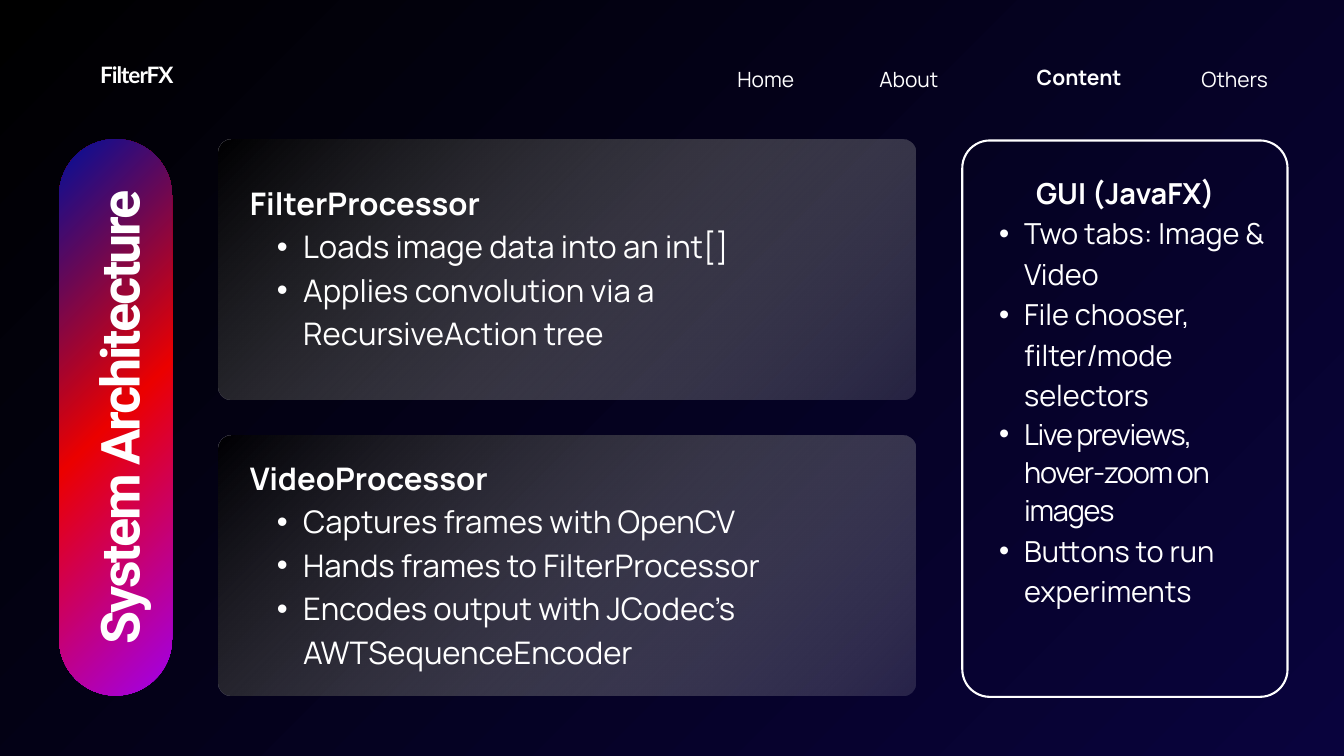
import dataclasses

import lxml.etree
import pptx
import pptx.dml.color
import pptx.enum.shapes
import pptx.enum.text
import pptx.oxml
import pptx.oxml.ns
import pptx.util

Inches = pptx.util.Inches
Pt = pptx.util.Pt
qn = pptx.oxml.ns.qn
ALIGN = pptx.enum.text.PP_ALIGN


@dataclasses.dataclass(frozen=True)
class Theme:
    ink: str = "FFFFFF"
    background: tuple = ((0, "000000", 100), (100, "09033D", 100))
    pill: tuple = ((0, "000F9B", 100), (50, "EB0000", 100), (100, "A000EB", 100))
    panel: tuple = ((0, "000000", 78), (100, "DDDDDD", 15))
    title_font: str = "Roboto"
    brand_font: str = "Lato"
    body_font: str = "Manrope"
    title_size: float = 57.8
    brand_size: float = 24.2
    menu_size: float = 22.5
    panel_size: float = 33.3
    sidebar_size: float = 31
    outline_width: float = 2.25


def write_text(paragraph, text, *, font, size, color, bold=False, align=ALIGN.LEFT,
               line=None, tracking=0):
    paragraph.alignment = align
    paragraph.line_spacing = Pt(line)
    paragraph.space_before = paragraph.space_after = Pt(0)
    run = paragraph.add_run()
    run.text = text
    run.font.name = font
    run.font.size = Pt(size)
    run.font.bold = bold
    run.font.color.rgb = pptx.dml.color.RGBColor.from_string(color)
    run._r.get_or_add_rPr().set("spc", str(round(tracking * 100)))


def set_bullet(paragraph, indent=0, hanging=0, bulleted=False):
    properties = paragraph._p.get_or_add_pPr()
    properties.set("marL", str(Inches(indent)))
    properties.set("indent", str(-Inches(hanging)))
    if bulleted:
        paragraph.level = 1
        lxml.etree.SubElement(properties, qn("a:buFont")).set("typeface", "Arial")
        lxml.etree.SubElement(properties, qn("a:buChar")).set("char", "•")
    else:
        lxml.etree.SubElement(properties, qn("a:buNone"))


def paint_gradient(owner, stops, angle=None):
    stop_xml = "".join(
        f'<a:gs pos="{position * 1000}"><a:srgbClr val="{color}">'
        f'<a:alpha val="{opacity * 1000}"/></a:srgbClr></a:gs>'
        for position, color, opacity in stops
    )
    if angle is None:
        direction = (
            '<a:path path="circle"><a:fillToRect r="100000" b="100000"/></a:path>'
            '<a:tileRect l="-100000" t="-100000"/>'
        )
    else:
        direction = f'<a:lin ang="{angle * 60000}" scaled="0"/>'
    gradient = pptx.oxml.parse_xml(
        f'<a:gradFill {pptx.oxml.ns.nsdecls("a")} rotWithShape="1">'
        f"<a:gsLst>{stop_xml}</a:gsLst>{direction}</a:gradFill>"
    )
    owner.fill.background()
    empty_fill = owner.element.find(".//" + qn("a:noFill"))
    empty_fill.getparent().replace(empty_fill, gradient)


@dataclasses.dataclass
class Background:
    element: object
    fill: object


class SlideBuilder:
    def __init__(self, slide, theme):
        self.slide = slide
        self.theme = theme

    def background(self):
        canvas = Background(self.slide.element, self.slide.background.fill)
        paint_gradient(canvas, self.theme.background)

    def rounded_box(self, left, top, width, height, radius, stops=None, angle=None):
        shape = self.slide.shapes.add_shape(
            pptx.enum.shapes.MSO_SHAPE.ROUNDED_RECTANGLE,
            Inches(left), Inches(top), Inches(width), Inches(height))
        shape.adjustments[0] = radius / min(width, height)
        shape.shadow.inherit = False
        if stops:
            paint_gradient(shape, stops, angle)
            shape.line.fill.background()
        else:
            shape.fill.background()
            shape.line.color.rgb = pptx.dml.color.RGBColor.from_string(self.theme.ink)
            shape.line.width = Pt(self.theme.outline_width)

    def prepare_frame(self, shape):
        frame = shape.text_frame
        frame.word_wrap = True
        frame.auto_size = pptx.enum.text.MSO_AUTO_SIZE.NONE
        frame.vertical_anchor = pptx.enum.text.MSO_ANCHOR.TOP
        frame.margin_left = frame.margin_right = 0
        frame.margin_top = frame.margin_bottom = 0
        return frame

    def place(self, index, left, top, width, height):
        shape = next(item for item in self.slide.placeholders
                     if item.placeholder_format.idx == index)
        shape.left, shape.top = Inches(left), Inches(top)
        shape.width, shape.height = Inches(width), Inches(height)
        shape.element.getparent().append(shape.element)
        return shape

    def title(self, text, left, top, width, height):
        shape = self.place(0, left, top, width, height)
        shape.rotation = 270
        write_text(self.prepare_frame(shape).paragraphs[0], text,
                   font=self.theme.title_font, size=self.theme.title_size,
                   color=self.theme.ink, bold=True, align=ALIGN.CENTER,
                   line=80.8, tracking=-2.5)

    def label(self, text, left, top, width, height, **style):
        shape = self.slide.shapes.add_textbox(
            Inches(left), Inches(top), Inches(width), Inches(height))
        write_text(self.prepare_frame(shape).paragraphs[0], text,
                   color=self.theme.ink, **style)

    def list_block(self, index, box, heading, items, size, line, indent, hanging,
                   heading_align=ALIGN.LEFT, tight_item=None):
        frame = self.prepare_frame(self.place(index, *box))
        style = {"font": self.theme.body_font, "size": size, "color": self.theme.ink}
        paragraph = frame.paragraphs[0]
        write_text(paragraph, heading, bold=True, align=heading_align, line=line, **style)
        set_bullet(paragraph)
        for item in items:
            tight = item == tight_item
            paragraph = frame.add_paragraph()
            write_text(paragraph, item, line=41.2 if tight else line,
                       tracking=-1.3 if tight else 0, **style)
            set_bullet(paragraph, indent, hanging, bulleted=True)

    def remove_empty_placeholders(self):
        for shape in list(self.slide.placeholders):
            if not shape.text_frame.text:
                shape.element.getparent().remove(shape.element)


def main():
    presentation = pptx.Presentation()
    presentation.slide_width = Inches(20)
    presentation.slide_height = Inches(11.25)
    slide = presentation.slides.add_slide(presentation.slide_layouts[4])
    theme = Theme()
    builder = SlideBuilder(slide, theme)

    builder.background()
    for panel_top in (2.07, 6.48):
        builder.rounded_box(3.25, panel_top, 10.37, 3.87, 0.19, theme.panel, 45)
    builder.rounded_box(0.88, 2.07, 1.68, 8.28, 0.84, theme.pill)
    builder.rounded_box(14.32, 2.09, 4.84, 8.28, 0.41)

    builder.title("System Architecture", -2.19, 5.67, 7.69, 1.08)
    builder.label("FilterFX", 1.49, 0.84, 2.94, 0.49, font=theme.brand_font,
                  size=theme.brand_size, bold=True, line=33.9, tracking=-1.1)
    menu = [
        ("Home", 10, 0.92, 1.82, ALIGN.RIGHT),
        ("About", 12.48, 0.92, 2.09, ALIGN.CENTER),
        ("Content", 15.01, 0.9, 2.1, ALIGN.CENTER),
        ("Others", 16.44, 0.92, 2.43, ALIGN.RIGHT),
    ]
    for text, left, top, width, align in menu:
        builder.label(text, left, top, width, 0.45, font=theme.body_font,
                      size=theme.menu_size, bold=text == "Content", align=align, line=31.5)

    live_previews = "Live previews, hover-zoom on images"
    builder.list_block(
        1, (14.51, 2.52, 4.47, 6.46), "GUI (JavaFX)",
        ["Two tabs: Image & Video", "File chooser, filter/mode selectors",
         live_previews, "Buttons to run experiments"],
        theme.sidebar_size, 43.4, 0.73, 0.37, ALIGN.CENTER, live_previews)
    processors = [
        (2, 2.65, 2.59, "FilterProcessor",
         ["Loads image data into an int[]",
          "Applies convolution via a RecursiveAction tree"]),
        (4, 6.74, 3.24, "VideoProcessor",
         ["Captures frames with OpenCV", "Hands frames to FilterProcessor",
          "Encodes output with JCodec’s AWTSequenceEncoder"]),
    ]
    for index, top, height, heading, items in processors:
        builder.list_block(index, (3.72, top, 9.43, height), heading, items,
                           theme.panel_size, 46.6, 0.79, 0.39)

    builder.remove_empty_placeholders()
    presentation.save("out.pptx")


if __name__ == "__main__":
    main()
